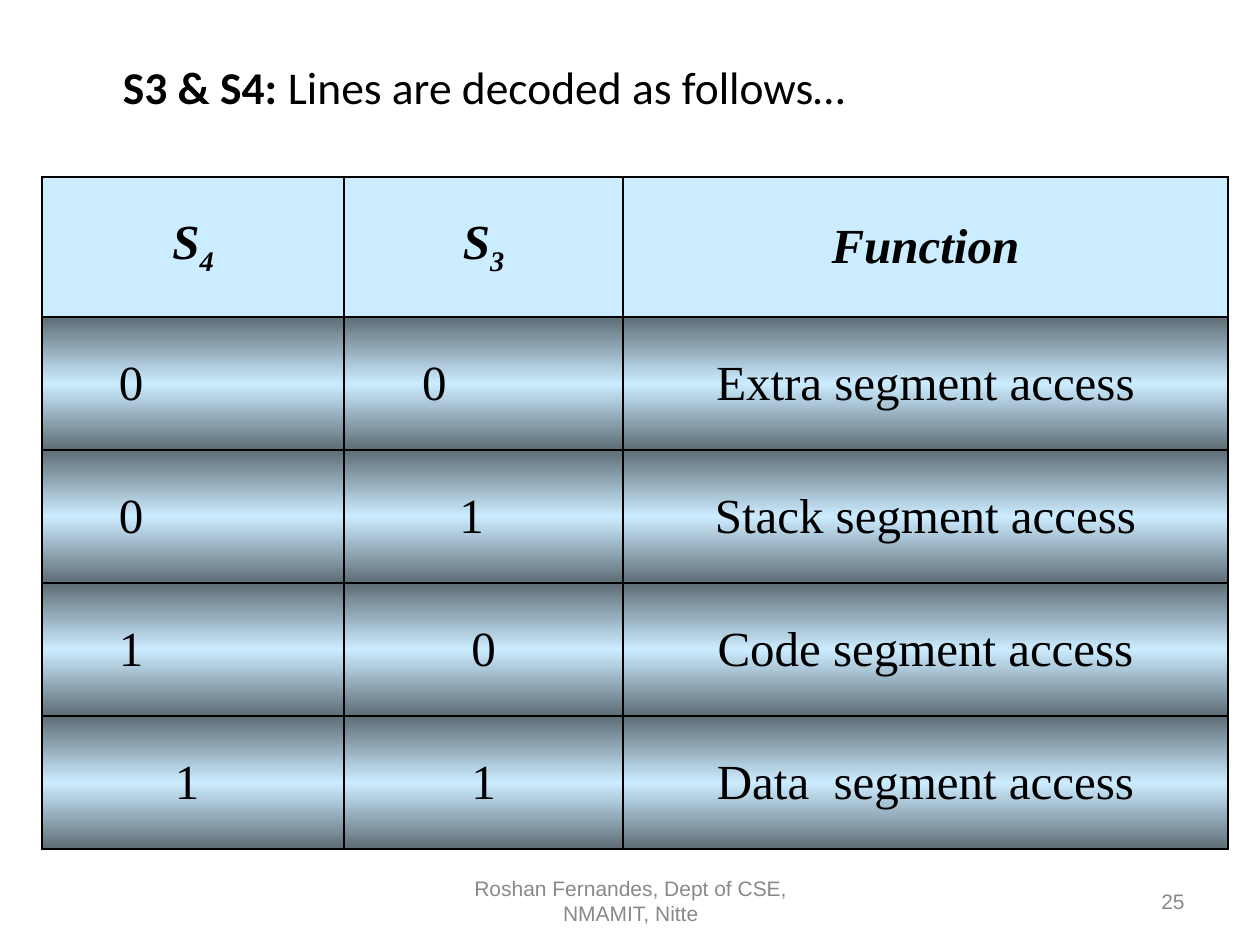
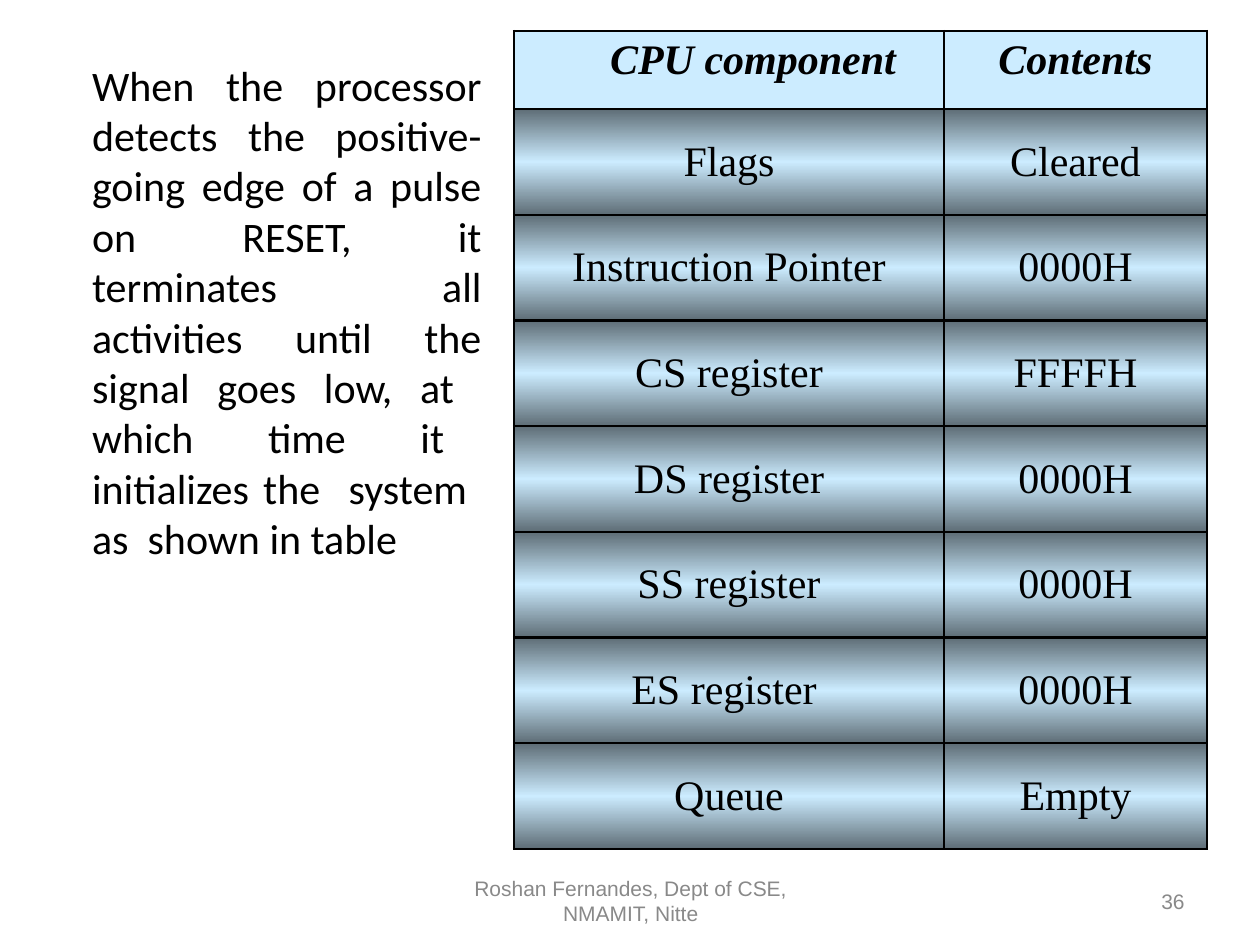
from pptx import Presentation
from pptx.dml.color import RGBColor
from pptx.enum.text import MSO_ANCHOR as Anchor, PP_ALIGN as Align
from pptx.oxml import parse_xml
from pptx.oxml.ns import nsdecls
from pptx.util import Pt

EMU_PER_PX = 914400 / 126
BLACK = RGBColor(0x00, 0x00, 0x00)
FOOTER_GREY = RGBColor(0x89, 0x89, 0x89)
ICE_BLUE = RGBColor(0xCC, 0xEC, 0xFF)
STEEL = RGBColor(0x5E, 0x6D, 0x76)
BODY_FONT, TABLE_FONT, FOOTER_FONT = "Calibri", "Times New Roman", "Arial"
FOOTER = "Roshan Fernandes, Dept of CSE, NMAMIT, Nitte"
CELL_INSET = 13
BORDER = Pt(1.5)

SEGMENT_ROWS = [
    ("S_4", "S_3", "Function"),
    ("0", "0", "Extra segment access"),
    ("0", "1", "Stack segment access"),
    ("1", "0", "Code segment access"),
    ("1", "1", "Data  segment access"),
]
SEGMENT_SHIFTS = {(1, 0): -62, (2, 0): -62, (3, 0): -62, (4, 0): -6,
                  (1, 1): -49, (2, 1): -12}
RESET_ROWS = [
    ("CPU component", "Contents"),
    ("Flags", "Cleared"),
    ("Instruction Pointer", "0000H"),
    ("CS register", "FFFFH"),
    ("DS register", "0000H"),
    ("SS register", "0000H"),
    ("ES register", "0000H"),
    ("Queue", "Empty"),
]
RESET_SHIFTS = {(0, 0): 24, (6, 0): -5}
RESET_TEXT = ("When the processor detects the positive-going edge of a pulse on "
              "RESET, it terminates all activities until the signal goes low, at  "
              "which  time  it  initializes the  system  as  shown in table")


def px(length):
    return round(length * EMU_PER_PX)


def add_text(paragraph, text, font=BODY_FONT, size=24, color=BLACK,
             bold=False, italic=False, baseline=0, align=None):
    if align is not None:
        paragraph.alignment = align
    run = paragraph.add_run()
    run.text = text
    run.font.name = font
    run.font.size = Pt(size)
    run.font.color.rgb = color
    run.font.bold = bold
    run.font.italic = italic
    if baseline:
        run.font._element.set("baseline", str(baseline * 1000))


def add_box(slide, left, top, width, height, inset_left=CELL_INSET, anchor=Anchor.TOP):
    frame = slide.shapes.add_textbox(px(left), px(top), px(width), px(height)).text_frame
    frame.word_wrap = True
    frame.margin_left = px(inset_left)
    frame.vertical_anchor = anchor
    return frame.paragraphs[0]


def add_footer(slide, number):
    for left, width, text, align in ((431, 399, FOOTER, Align.CENTER),
                                     (903, 294, str(number), Align.RIGHT)):
        label = add_box(slide, left, 876, width, 50, anchor=Anchor.MIDDLE)
        add_text(label, text, font=FOOTER_FONT, size=12, color=FOOTER_GREY, align=align)


def fill_metallic(cell):
    stops = "".join(
        f'<a:gs pos="{position * 1000}"><a:srgbClr val="{color}"/></a:gs>'
        for position, color in ((0, STEEL), (50, ICE_BLUE), (100, STEEL)))
    cell._tc.get_or_add_tcPr().append(parse_xml(
        f'<a:gradFill {nsdecls("a")} rotWithShape="1"><a:gsLst>{stops}</a:gsLst>'
        '<a:lin ang="5400000" scaled="1"/></a:gradFill>'))


def draw_borders(cell):
    properties = cell._tc.get_or_add_tcPr()
    for index, side in enumerate("LRTB"):
        properties.insert(index, parse_xml(
            f'<a:ln{side} {nsdecls("a")} w="{BORDER}"><a:solidFill>'
            f'<a:srgbClr val="{BLACK}"/></a:solidFill></a:ln{side}>'))


def fill_cell(cell, text, size, shift, heading):
    cell.margin_left = px(CELL_INSET + max(2 * shift, 0))
    cell.margin_right = px(CELL_INSET + max(-2 * shift, 0))
    if heading:
        cell.fill.solid()
        cell.fill.fore_color.rgb = ICE_BLUE
    else:
        fill_metallic(cell)
    draw_borders(cell)
    label, _, subscript = text.partition("_")
    paragraph = cell.text_frame.paragraphs[0]
    style = dict(font=TABLE_FONT, size=size, bold=heading, italic=heading, align=Align.CENTER)
    add_text(paragraph, label, **style)
    if subscript:
        add_text(paragraph, subscript, baseline=-25, **style)


def add_grid(slide, left, top, widths, header_height, body_height, rows, shifts,
             size, header_anchor):
    table = slide.shapes.add_table(
        len(rows), len(widths), px(left), px(top),
        px(sum(widths)), px(header_height + body_height)).table
    table.first_row = table.horz_banding = False
    for column, width in zip(table.columns, widths):
        column.width = px(width)
    for r, texts in enumerate(rows):
        heading = r == 0
        table.rows[r].height = px(header_height if heading else body_height / (len(rows) - 1))
        for c, text in enumerate(texts):
            cell = table.cell(r, c)
            cell.vertical_anchor = header_anchor if heading else Anchor.MIDDLE
            fill_cell(cell, text, size, shifts.get((r, c), 0), heading)


def build_segment_slide(slide):
    title = add_box(slide, 63, 53, 1144, 95, inset_left=60)
    add_text(title, "S3 & S4:", size=26, bold=True)
    add_text(title, " Lines are decoded as follows…", size=26)
    add_grid(slide, 42, 177, (302, 279, 605), 140, 532, SEGMENT_ROWS, SEGMENT_SHIFTS,
             size=28, header_anchor=Anchor.MIDDLE)
    add_footer(slide, 25)


def build_reset_slide(slide):
    explanation = add_box(slide, 32, 53, 462, 777, inset_left=60)
    add_text(explanation, RESET_TEXT, align=Align.JUSTIFY)
    add_grid(slide, 514, 31, (430, 263), 78, 740, RESET_ROWS, RESET_SHIFTS,
             size=24, header_anchor=Anchor.TOP)
    add_footer(slide, 36)


def main():
    deck = Presentation()
    deck.slide_width, deck.slide_height = px(1260), px(945)
    blank = deck.slide_layouts[6]
    for build in (build_segment_slide, build_reset_slide):
        build(deck.slides.add_slide(blank))
    deck.save("out.pptx")


if __name__ == "__main__":
    main()
